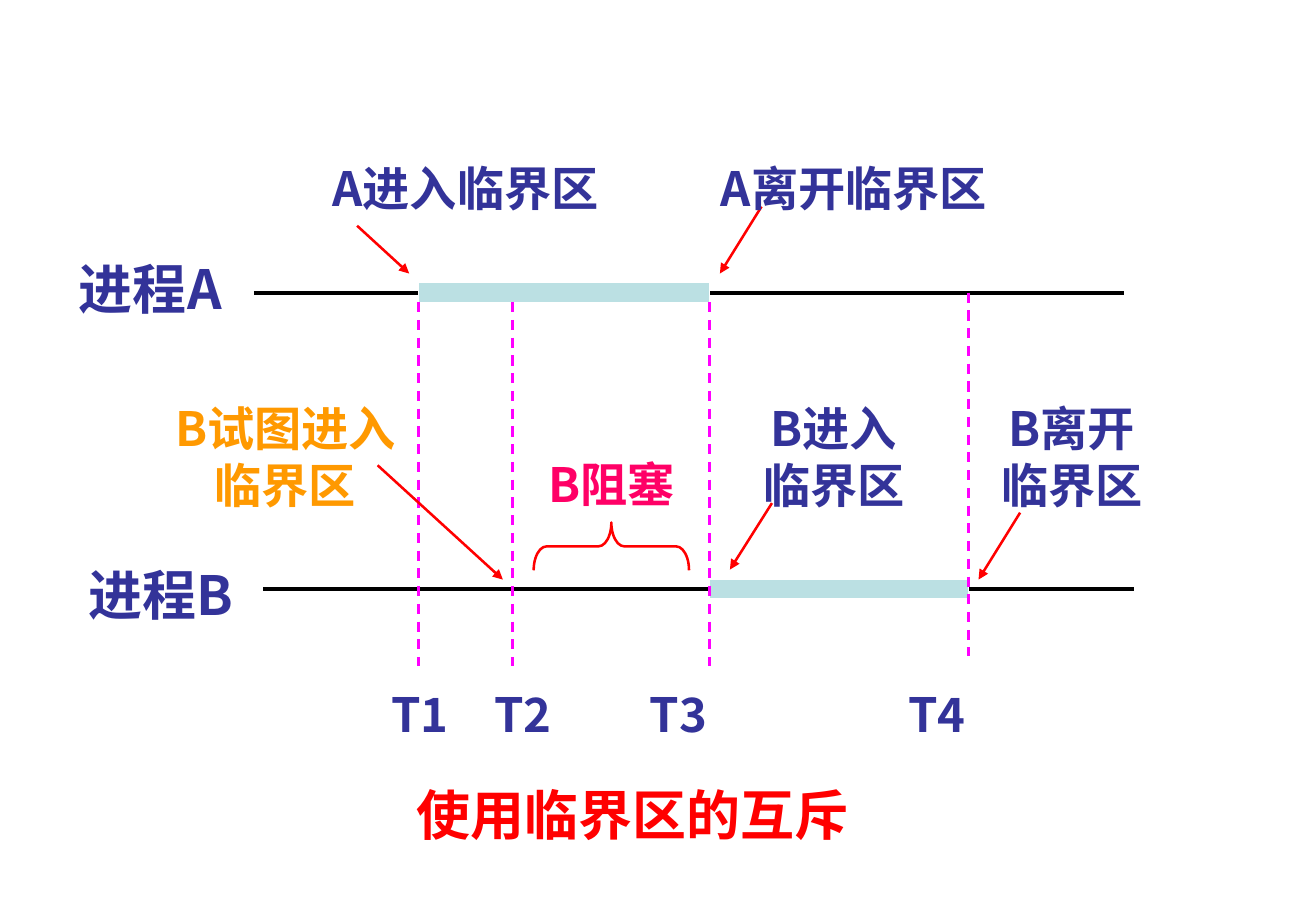
from dataclasses import dataclass

from lxml import etree
from pptx import Presentation
from pptx.dml.color import RGBColor
from pptx.enum.dml import MSO_LINE
from pptx.enum.shapes import MSO_CONNECTOR, MSO_SHAPE
from pptx.enum.text import MSO_ANCHOR, PP_ALIGN
from pptx.oxml.ns import qn
from pptx.util import Cm, Pt

FONT = "Noto Sans CJK SC"
NAVY, RED, MAGENTA = "333399", "FF0000", "FF00FF"
A_Y, B_Y = 6.12, 12.32
T1, T2, T3, T4 = 8.76, 10.72, 14.84, 20.26
BAR_H = 0.41


@dataclass
class Label:
    text: str
    x: float
    y: float
    w: float
    h: float = 1.45
    size: int = 28
    color: str = NAVY


@dataclass
class Line:
    x1: float
    y1: float
    x2: float
    y2: float
    color: str = RED
    width: float = 1.5
    dashed: bool = False
    arrow: bool = False


@dataclass
class CriticalRegion:
    start: float
    end: float
    y: float


TITLE = Label("使用临界区的互斥", 5.11, 16.13, 16.26, 1.63, 32, RED)
PROCESS_LINES = [Line(x, y, x + 18.21, y, "000000", 2.25)
                 for x, y in ((5.31, A_Y), (5.51, B_Y))]
REGIONS = [CriticalRegion(T1, T3, A_Y), CriticalRegion(T3, T4, B_Y)]
TIME_LINES = [Line(x, y, x, y + 7.6, MAGENTA, dashed=True)
              for x, y in ((T1, 6.32), (T2, 6.32), (T3, 6.32), (T4, A_Y))]
ARROWS = [Line(*ends, arrow=True) for ends in (
    (7.47, 4.72, 8.56, 5.72),
    (15.93, 4.32, 15.06, 5.72),
    (7.9, 9.73, 10.52, 12.12),
    (16.15, 10.52, 15.27, 11.91),
    (21.34, 10.72, 20.47, 12.12),
)]
LABELS = [
    Label("进程A", 1.19, 5.13, 3.91, 1.63, 32),
    Label("进程B", 1.42, 11.53, 3.91, 1.63, 32),
    Label("A进入临界区", 6.17, 3.12, 7.14),
    Label("A离开临界区", 14.4, 3.12, 6.93),
    Label("B试图进入临界区", 3.15, 8.13, 5.64, 2.64, color="FF9900"),
    Label("B阻塞", 10.52, 9.32, 4.55, color="FF0066"),
    Label("B进入临界区", 15.49, 8.13, 3.91, 2.64),
    Label("B离开临界区", 20.47, 8.13, 3.91, 2.64),
] + [Label(f"T{i}", x, 14.12, 2.16)
     for i, x in enumerate((7.7, 9.86, 13.11, 18.52), 1)]


def rgb(color: str) -> RGBColor:
    return RGBColor.from_string(color)


def write_label(sp, label: Label) -> None:
    sp.left, sp.top = Cm(label.x), Cm(label.y)
    sp.width, sp.height = Cm(label.w), Cm(label.h)
    tf = sp.text_frame
    tf.word_wrap = True
    tf.vertical_anchor = MSO_ANCHOR.TOP
    tf.margin_left = tf.margin_right = Cm(0.25)
    tf.margin_top, tf.margin_bottom = Cm(0.2), Cm(0)
    p = tf.paragraphs[0]
    p.text = label.text
    p.alignment = PP_ALIGN.CENTER
    p.space_before = Pt(0)
    p.line_spacing = Pt(round(label.size * 1.21, 1))
    font = p.font
    font.name, font.size, font.bold = FONT, Pt(label.size), True
    font.color.rgb = rgb(label.color)
    def_rpr = p._p.pPr.find(qn("a:defRPr"))
    etree.SubElement(def_rpr, qn("a:ea"), typeface=FONT)


def add_line(s, line: Line) -> None:
    c = s.shapes.add_connector(MSO_CONNECTOR.STRAIGHT, Cm(line.x1), Cm(line.y1),
                               Cm(line.x2), Cm(line.y2))
    c.line.color.rgb = rgb(line.color)
    c.line.width = Pt(line.width)
    if line.dashed:
        c.line.dash_style = MSO_LINE.DASH
    sp_pr = c._element.spPr
    if line.arrow:
        etree.SubElement(sp_pr.find(qn("a:ln")), qn("a:tailEnd"), type="triangle")
    etree.SubElement(sp_pr, qn("a:effectLst"))


def add_region(s, region: CriticalRegion) -> None:
    sp = s.shapes.add_shape(MSO_SHAPE.RECTANGLE, Cm(region.start),
                            Cm(region.y - BAR_H / 2),
                            Cm(region.end - region.start), Cm(BAR_H))
    sp.shadow.inherit = False
    sp.fill.solid()
    sp.fill.fore_color.rgb = rgb("BBE0E3")
    sp.line.color.rgb = rgb("FFFFFF")
    sp.line.width = Pt(0.75)


def add_blocked_brace(s) -> None:
    sp = s.shapes.add_shape(MSO_SHAPE.RIGHT_BRACE, Cm(12.29), Cm(9.8), Cm(1), Cm(3.25))
    sp.rotation = 270
    sp.adjustments[0] = 0.27
    sp.shadow.inherit = False
    sp.fill.background()
    sp.line.color.rgb = rgb(RED)
    sp.line.width = Pt(1.5)


def main() -> None:
    """Build the slide on mutual exclusion with critical regions."""
    prs = Presentation()
    prs.slide_width, prs.slide_height = Cm(27.53), Cm(19.05)
    s = prs.slides.add_slide(prs.slide_layouts[5])
    write_label(s.shapes.title, TITLE)
    for line in PROCESS_LINES:
        add_line(s, line)
    for region in REGIONS:
        add_region(s, region)
    for line in TIME_LINES + ARROWS:
        add_line(s, line)
    add_blocked_brace(s)
    for label in LABELS:
        write_label(s.shapes.add_textbox(0, 0, 0, 0), label)
    prs.save("out.pptx")


if __name__ == "__main__":
    main()
